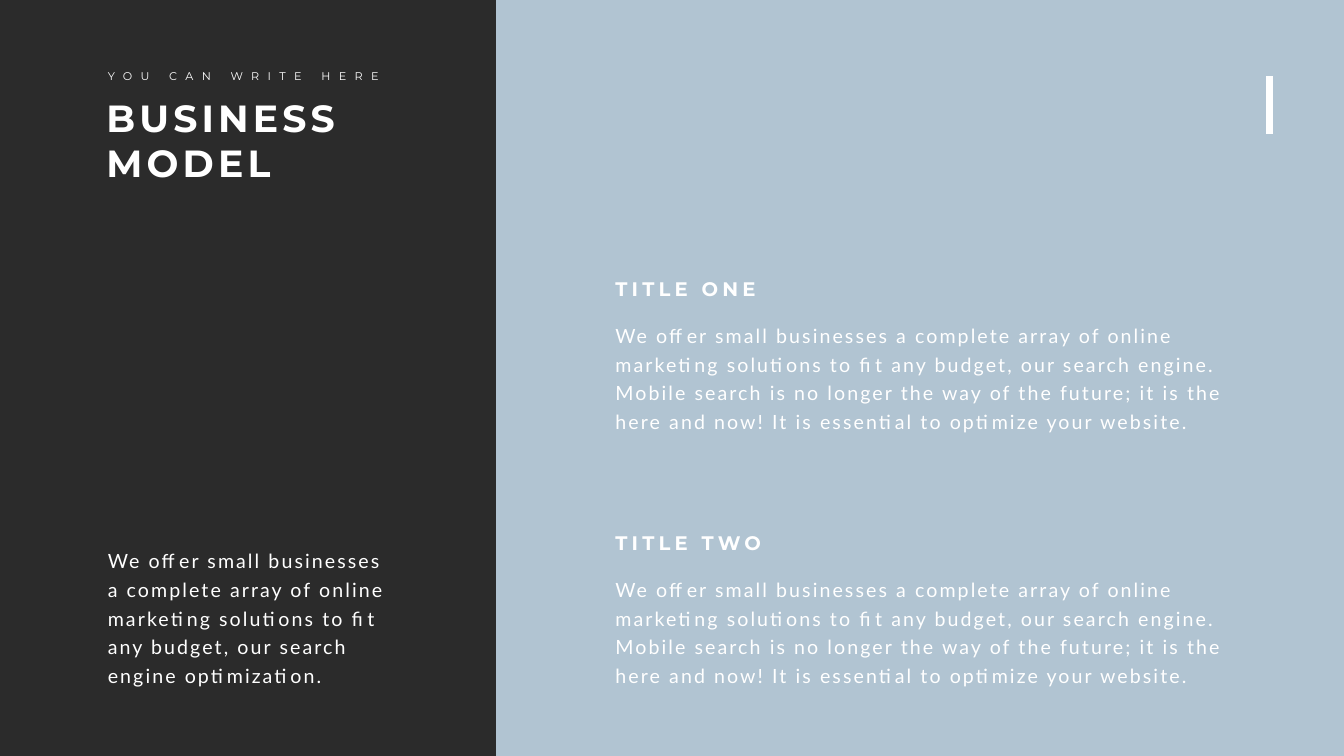
from pptx import Presentation
from pptx.dml.color import RGBColor
from pptx.enum.shapes import MSO_CONNECTOR, MSO_SHAPE
from pptx.enum.text import MSO_AUTO_SIZE
from pptx.oxml.ns import qn
from pptx.util import Pt
from lxml import etree

CHARCOAL = RGBColor(0x2B, 0x2B, 0x2B)
PALE_BLUE = RGBColor(0xB1, 0xC4, 0xD2)
WHITE = RGBColor(0xFF, 0xFF, 0xFF)

SLIDE_WIDTH, SLIDE_HEIGHT = 1919.52, 1080
PANEL_LEFT = 708.48
INTRO_LEFT, INTRO_WIDTH = 146.88, 416.16
SECTION_LEFT = 871.92
SECTION_TOP, SECTION_STEP = 391.68, 362.88

INTRO = ("We offer small businesses a complete array of online marketing "
         "solutions to fit any budget, our search engine optimization.")
SECTION_BODY = (
    "We offer small businesses a complete array of online marketing "
    "solutions to fit any budget, our search engine. Mobile search is no "
    "longer the way of the future; it is the here and now! It is essential "
    "to optimize your website.")
SECTION_TITLES = ("TITLE ONE", "TITLE TWO")


def add_text(shapes, text, left, top, width, height, font_name, size,
             tracking, bold=False, wrap=True, line_spacing=None):
    """Add white text whose letters are spaced out by tracking points."""
    box = shapes.add_textbox(Pt(left), Pt(top), Pt(width), Pt(height))
    frame = box.text_frame
    frame.word_wrap = wrap
    frame.auto_size = MSO_AUTO_SIZE.SHAPE_TO_FIT_TEXT
    paragraph = frame.paragraphs[0]
    run = paragraph.add_run()
    run.text = text
    run._r.get_or_add_rPr().set("spc", str(tracking * 100))
    if line_spacing:
        paragraph.line_spacing = Pt(line_spacing)
    font = paragraph.font
    font.name = font_name
    font.size = Pt(size)
    font.bold = bold
    font.color.rgb = WHITE


def add_body(shapes, text, left, top, width, height):
    add_text(shapes, text, left, top, width, height, "Lato", 28, 3,
             line_spacing=40.8)


def add_panel(slide):
    panel = slide.shapes.add_shape(
        MSO_SHAPE.RECTANGLE, Pt(PANEL_LEFT), 0,
        Pt(SLIDE_WIDTH - PANEL_LEFT), Pt(SLIDE_HEIGHT))
    panel.shadow.inherit = False
    panel.fill.solid()
    panel.fill.fore_color.rgb = PALE_BLUE
    panel.line.fill.background()


def add_heading(slide):
    shapes = slide.shapes.add_group_shape().shapes
    add_text(shapes, "BUSINESS MODEL", 144.72, 131.76, 418.32, 138.24,
             "Montserrat", 54, 6, bold=True)
    add_text(shapes, "YOU CAN WRITE HERE", INTRO_LEFT, 95.76, INTRO_WIDTH,
             26.64, "Montserrat", 16, 12, wrap=False)


def add_section(slide, title, top):
    shapes = slide.shapes.add_group_shape().shapes
    add_body(shapes, SECTION_BODY, SECTION_LEFT, top + 60.48, 884.88, 168.48)
    add_text(shapes, title, SECTION_LEFT, top, 411.84, 41.04,
             "Montserrat", 28, 6, bold=True)


def add_accent_line(slide):
    accent = slide.shapes.add_connector(
        MSO_CONNECTOR.STRAIGHT, Pt(1813.68), Pt(191.52),
        Pt(1813.68), Pt(108.72))
    accent.line.color.rgb = WHITE
    accent.line.width = Pt(10)
    etree.SubElement(accent._element.spPr, qn("a:effectLst"))


def main():
    presentation = Presentation()
    presentation.slide_width = Pt(SLIDE_WIDTH)
    presentation.slide_height = Pt(SLIDE_HEIGHT)
    slide = presentation.slides.add_slide(presentation.slide_layouts[6])
    slide.background.fill.solid()
    slide.background.fill.fore_color.rgb = CHARCOAL

    add_panel(slide)
    add_heading(slide)
    add_body(slide.shapes, INTRO, INTRO_LEFT, 774, INTRO_WIDTH, 210.24)
    for index, title in enumerate(SECTION_TITLES):
        add_section(slide, title, SECTION_TOP + index * SECTION_STEP)
    add_accent_line(slide)

    presentation.save("out.pptx")


if __name__ == "__main__":
    main()
